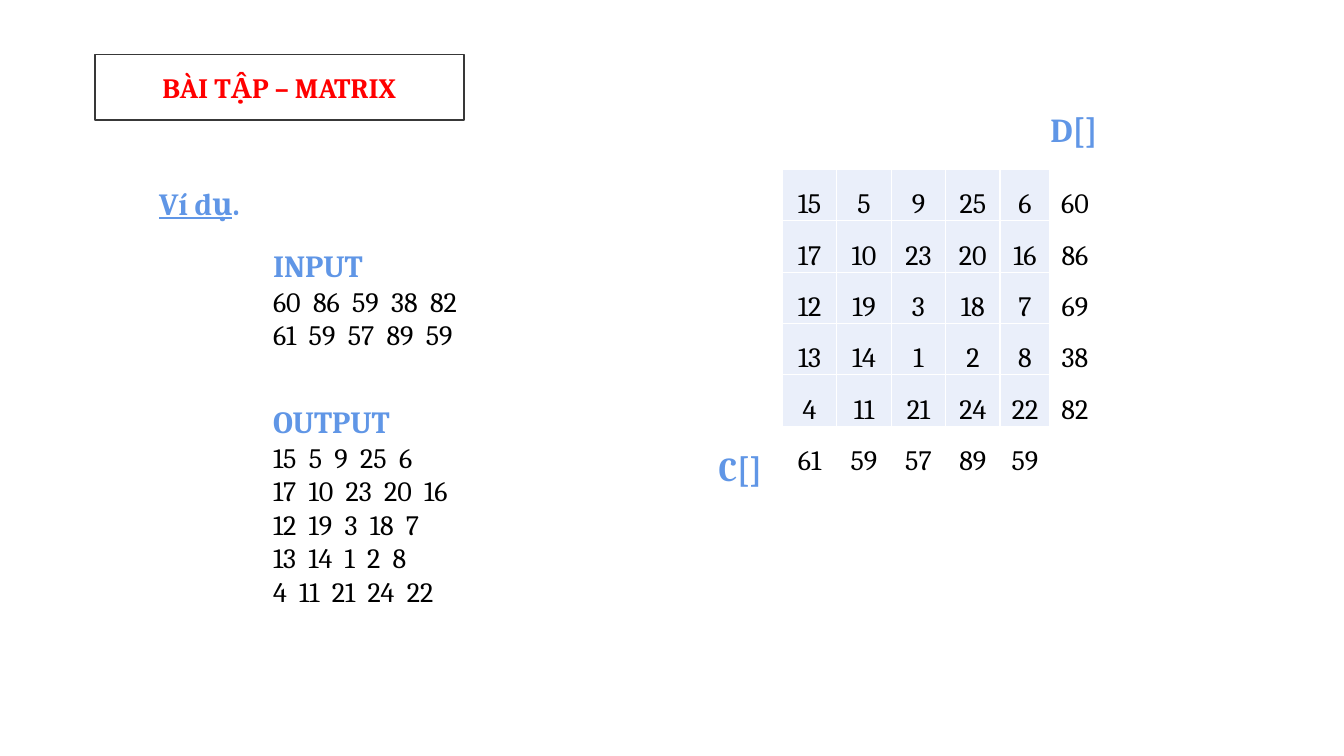
from pptx import Presentation
from pptx.dml.color import RGBColor
from pptx.enum.shapes import MSO_SHAPE
from pptx.enum.text import MSO_ANCHOR, MSO_AUTO_SIZE, PP_ALIGN
from pptx.util import Inches, Pt

BLUE, BLACK, RED = "6096E6", "000000", "FF0000"
WHITE, PALE, DARK = "FFFFFF", "EAEFFA", "383838"

MATRIX = [
    [15, 5, 9, 25, 6],
    [17, 10, 23, 20, 16],
    [12, 19, 3, 18, 7],
    [13, 14, 1, 2, 8],
    [4, 11, 21, 24, 22],
]
INPUT_ROWS = [[60, 86, 59, 38, 82], [61, 59, 57, 89, 59]]
ROW_SUMS = [60, 86, 69, 38, 82]
COLUMN_SUMS = [61, 59, 57, 89, 59]


def rgb(color):
    return RGBColor.from_string(color)


def add_run(p, text, size, color, bold=False, underline=None):
    r = p.add_run()
    r.text = text
    r.font.name = "Cambria"
    r.font.size = Pt(size)
    r.font.bold = bold
    r.font.underline = underline
    r.font.color.rgb = rgb(color)


def add_text_frame(slide, left, top, width, height):
    box = slide.shapes.add_textbox(Inches(left), Inches(top), Inches(width), Inches(height))
    tf = box.text_frame
    tf.word_wrap = True
    tf.auto_size = MSO_AUTO_SIZE.SHAPE_TO_FIT_TEXT
    return tf


def add_title(slide, left, top, width, height):
    sp = slide.shapes.add_shape(
        MSO_SHAPE.RECTANGLE, Inches(left), Inches(top), Inches(width), Inches(height))
    sp.shadow.inherit = False
    sp.fill.solid()
    sp.fill.fore_color.rgb = rgb(WHITE)
    sp.line.color.rgb = rgb(DARK)
    sp.line.width = Pt(1.25)
    tf = sp.text_frame
    tf.vertical_anchor = MSO_ANCHOR.MIDDLE
    p = tf.paragraphs[0]
    p.alignment = PP_ALIGN.CENTER
    add_run(p, "BÀI TẬP – MATRIX", 20, RED, bold=True)


def add_example_heading(slide, left, top, width, height):
    p = add_text_frame(slide, left, top, width, height).paragraphs[0]
    add_run(p, "Ví dụ", 22, BLUE, bold=True, underline=True)
    add_run(p, ".", 22, BLUE, bold=True)


def add_listing(slide, left, top, width, height, heading, rows, heading_spacing=1.0):
    tf = add_text_frame(slide, left, top, width, height)
    p = tf.paragraphs[0]
    p.line_spacing = heading_spacing
    add_run(p, heading, 22, BLUE, bold=True)
    for row in rows:
        add_run(tf.add_paragraph(), "  ".join(map(str, row)), 20, BLACK)


def add_array_label(slide, left, top, text):
    p = add_text_frame(slide, left, top, 1.04, 0.5).paragraphs[0]
    add_run(p, text, 24, BLUE, bold=True)


def fill_cell(cell, value, color):
    cell.margin_left = cell.margin_right = cell.margin_top = Inches(0.01)
    cell.margin_bottom = 0
    cell.vertical_anchor = MSO_ANCHOR.BOTTOM
    if color:
        cell.fill.solid()
        cell.fill.fore_color.rgb = rgb(color)
    else:
        cell.fill.background()
    if value is not None:
        p = cell.text_frame.paragraphs[0]
        p.alignment = PP_ALIGN.CENTER
        add_run(p, str(value), 20, BLACK)


def add_matrix(slide, left, top, width, height):
    rows = [row + [total] for row, total in zip(MATRIX, ROW_SUMS)]
    rows.append(COLUMN_SUMS + [None])
    size = len(rows)
    table = slide.shapes.add_table(
        size, size, Inches(left), Inches(top), Inches(width), Inches(height)).table
    table.first_row = False
    table.horz_banding = False
    for i, row in enumerate(rows):
        table.rows[i].height = Inches(height / size)
        table.columns[i].width = Inches(0.54 if i < 4 else (width - 4 * 0.54) / 2)
        for j, value in enumerate(row):
            color = None if i == size - 1 else WHITE if j == size - 1 else PALE
            fill_cell(table.cell(i, j), value, color)

    add_array_label(slide, left - 0.73, top + 2.71, "C[]")
    add_array_label(slide, left + 2.56, top - 0.65, "D[]")


def main():
    prs = Presentation()
    prs.slide_width = Inches(13.33)
    prs.slide_height = Inches(7.5)
    slide = prs.slides.add_slide(prs.slide_layouts[6])
    add_title(slide, 0.94, 0.54, 3.66, 0.65)
    add_example_heading(slide, 1.48, 1.78, 1.13, 0.47)
    add_listing(slide, 2.61, 2.22, 3.58, 1.33, "INPUT", INPUT_ROWS, heading_spacing=1.5)
    add_listing(slide, 2.61, 3.95, 3.58, 2.15, "OUTPUT", MATRIX)
    add_matrix(slide, 7.76, 1.68, 3.15, 3.06)
    prs.save("out.pptx")


if __name__ == "__main__":
    main()
